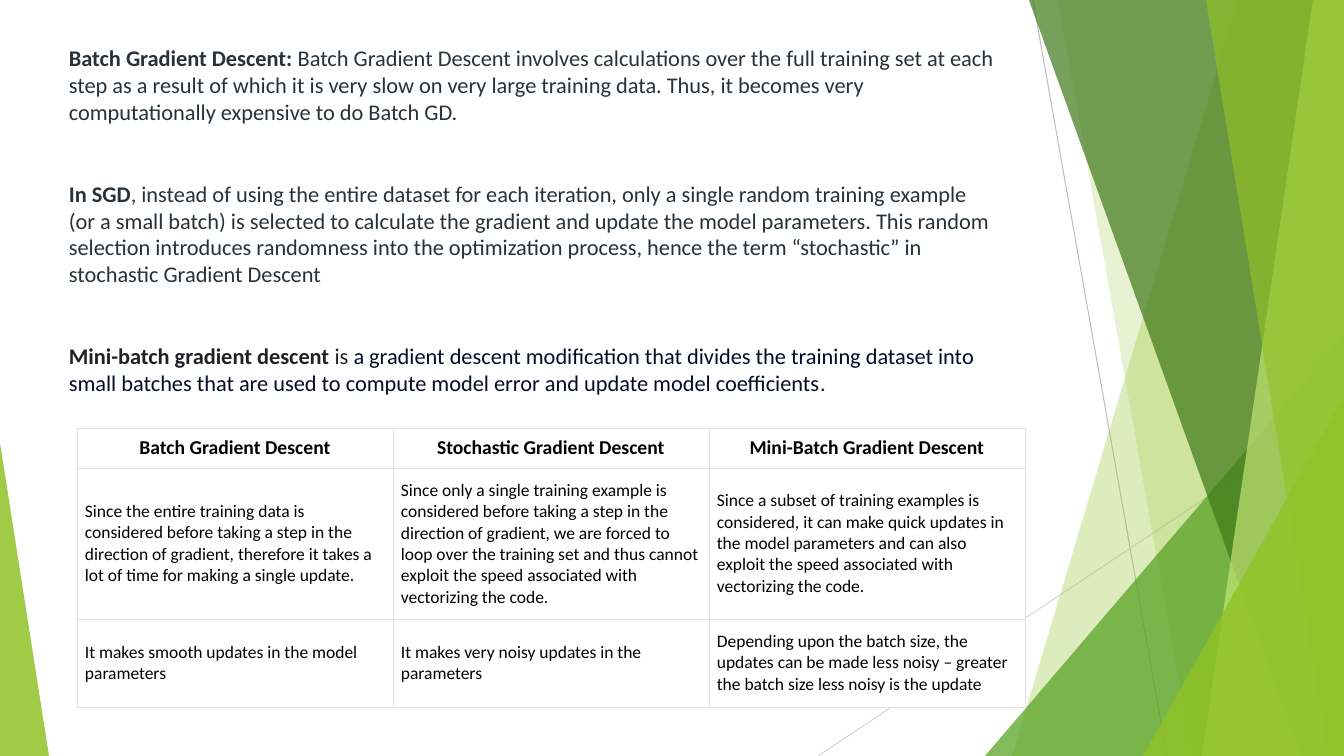
import pptx
import pptx.dml.color
import pptx.enum.shapes
import pptx.enum.text
import pptx.oxml
import pptx.oxml.ns
import pptx.util

EMU = 12192000 / 1344  # one px
SHAPE = pptx.enum.shapes.MSO_SHAPE
ALIGN = pptx.enum.text.PP_ALIGN
ANCHOR = pptx.enum.text.MSO_ANCHOR
NS = pptx.oxml.ns.nsdecls("a")


def px(n):
    return pptx.util.Emu(round(n * EMU))


def rgb(color):
    return pptx.dml.color.RGBColor.from_string(color)


class Deck:
    font = "Calibri"
    border = "DFDFDF"

    def __init__(self):
        self.prs = pptx.Presentation()
        self.prs.slide_width, self.prs.slide_height = px(1344), px(756)
        self.s = self.prs.slides.add_slide(self.prs.slide_layouts[6])

    def paint(self, sp, color, opacity):
        sp.shadow.inherit = False
        sp.line.fill.background()
        sp.fill.solid()
        sp.fill.fore_color.rgb = rgb(color)
        clr = sp._element.spPr.find(".//" + pptx.oxml.ns.qn("a:srgbClr"))
        clr.append(pptx.oxml.parse_xml(f'<a:alpha {NS} val="{opacity * 1000}"/>'))

    def line(self, x1, y1, x2, y2, color):
        cn = self.s.shapes.add_connector(
            pptx.enum.shapes.MSO_CONNECTOR.STRAIGHT, px(x1), px(y1), px(x2), px(y2))
        cn.line.color.rgb = rgb(color)
        cn.line.width = pptx.util.Pt(0.75)
        cn._element.spPr.append(pptx.oxml.parse_xml(f"<a:effectLst {NS}/>"))

    def band(self, top, bottom, color, opacity):
        """A full-height facet from its slanted left edge to the slide's right edge."""
        fb = self.s.shapes.build_freeform(top, 0, scale=EMU)
        fb.add_line_segments([(1344, 0), (1344, 756), (bottom, 756)], close=True)
        self.paint(fb.convert_to_shape(), color, opacity)

    def triangle(self, x, y, w, h, apex, color, opacity):
        sp = self.s.shapes.add_shape(SHAPE.ISOSCELES_TRIANGLE, px(x), px(y), px(w), px(h))
        sp.adjustments[0] = apex
        self.paint(sp, color, opacity)

    def run(self, p, text, size, color, bold=False):
        r = p.add_run()
        r.text = text
        r.font.name, r.font.size, r.font.bold = self.font, pptx.util.Pt(size), bold
        r.font.color.rgb = rgb(color)

    def text(self, x, y, w, h, paragraphs, size, gap):
        tf = self.s.shapes.add_textbox(px(x), px(y), px(w), px(h)).text_frame
        tf.word_wrap = True
        for i, runs in enumerate(paragraphs):
            p = tf.add_paragraph() if i else tf.paragraphs[0]
            p.space_before = pptx.util.Pt(gap if i else 0)
            for text, color, bold in runs:
                self.run(p, text, size, color, bold)

    def cell(self, cell, text, header):
        cell.vertical_anchor = ANCHOR.MIDDLE
        cell.margin_left = cell.margin_right = px(8)
        cell.margin_top = cell.margin_bottom = px(8 if header else 12)
        p = cell.text_frame.paragraphs[0]
        p.alignment = ALIGN.CENTER if header else ALIGN.LEFT
        self.run(p, text, 14 if header else 12.5, "000000", header)
        tcPr = cell._tc.get_or_add_tcPr()
        for side in "LRTB":
            tcPr.append(pptx.oxml.parse_xml(
                f'<a:ln{side} {NS} w="2286"><a:solidFill><a:srgbClr val="{self.border}"/>'
                f"</a:solidFill></a:ln{side}>"))
        cell.fill.solid()
        cell.fill.fore_color.rgb = rgb("FFFFFF")

    def table(self, x, y, col_width, row_heights, rows):
        cols = len(rows[0])
        tbl = self.s.shapes.add_table(len(rows), cols, px(x), px(y), px(col_width * cols),
                                      px(sum(row_heights))).table
        tbl.first_row = tbl.horz_banding = False
        for col in tbl.columns:
            col.width = px(col_width)
        for i, row in enumerate(rows):
            tbl.rows[i].height = px(row_heights[i])
            for j, text in enumerate(row):
                self.cell(tbl.cell(i, j), text, header=i == 0)


def main():
    deck = Deck()

    # Faceted green background
    deck.line(1033, 0, 1167, 756, "BFBFBF")
    deck.line(1344, 406, 818, 756, "D9D9D9")
    deck.band(1238, 1012, "90C226", 30)
    deck.band(1058, 1192, "90C226", 20)
    deck.triangle(985, 336, 359, 420, 1, "54A021", 72)
    deck.band(1029, 1301, "3F7819", 70)
    deck.band(1313, 1202, "C0E474", 70)
    deck.band(1206, 1329, "90C226", 65)
    deck.triangle(1143, 396, 201, 360, 1, "90C226", 80)
    deck.triangle(0, 443, 49, 313, 0, "90C226", 85)

    # Definitions
    slate, ink, navy = "273239", "202124", "040C28"
    deck.text(59, 39, 948, 427, [
        [("Batch Gradient Descent:", slate, True),
         (" Batch Gradient Descent involves calculations over the full training set at each "
          "step as a result of which it is very slow on very large training data. Thus, it "
          "becomes very computationally expensive to do Batch GD.", slate, False)],
        [("In SGD", slate, True),
         (", instead of using the entire dataset for each iteration, only a single random "
          "training example (or a small batch) is selected to calculate the gradient and "
          "update the model parameters. This random selection introduces randomness into the "
          "optimization process, hence the term “stochastic” in stochastic Gradient Descent",
          slate, False)],
        [("Mini-batch gradient descent ", ink, True),
         ("is ", ink, False),
         ("a gradient descent modification that divides the training dataset into small "
          "batches that are used to compute model error and update model coefficients",
          navy, False),
         (".", ink, False)],
    ], size=16, gap=39.5)

    # Comparison table
    deck.table(77, 428, 316, [40, 151, 88], [
        ["Batch Gradient Descent", "Stochastic Gradient Descent",
         "Mini-Batch Gradient Descent"],
        ["Since the entire training data is considered before taking a step in the direction "
         "of gradient, therefore it takes a lot of time for making a single update.",
         "Since only a single training example is considered before taking a step in the "
         "direction of gradient, we are forced to loop over the training set and thus cannot "
         "exploit the speed associated with vectorizing the code.",
         "Since a subset of training examples is considered, it can make quick updates in the "
         "model parameters and can also exploit the speed associated with vectorizing the "
         "code."],
        ["It makes smooth updates in the model parameters",
         "It makes very noisy updates in the parameters",
         "Depending upon the batch size, the updates can be made less noisy – greater the "
         "batch size less noisy is the update"],
    ])

    deck.prs.save("out.pptx")


if __name__ == "__main__":
    main()
